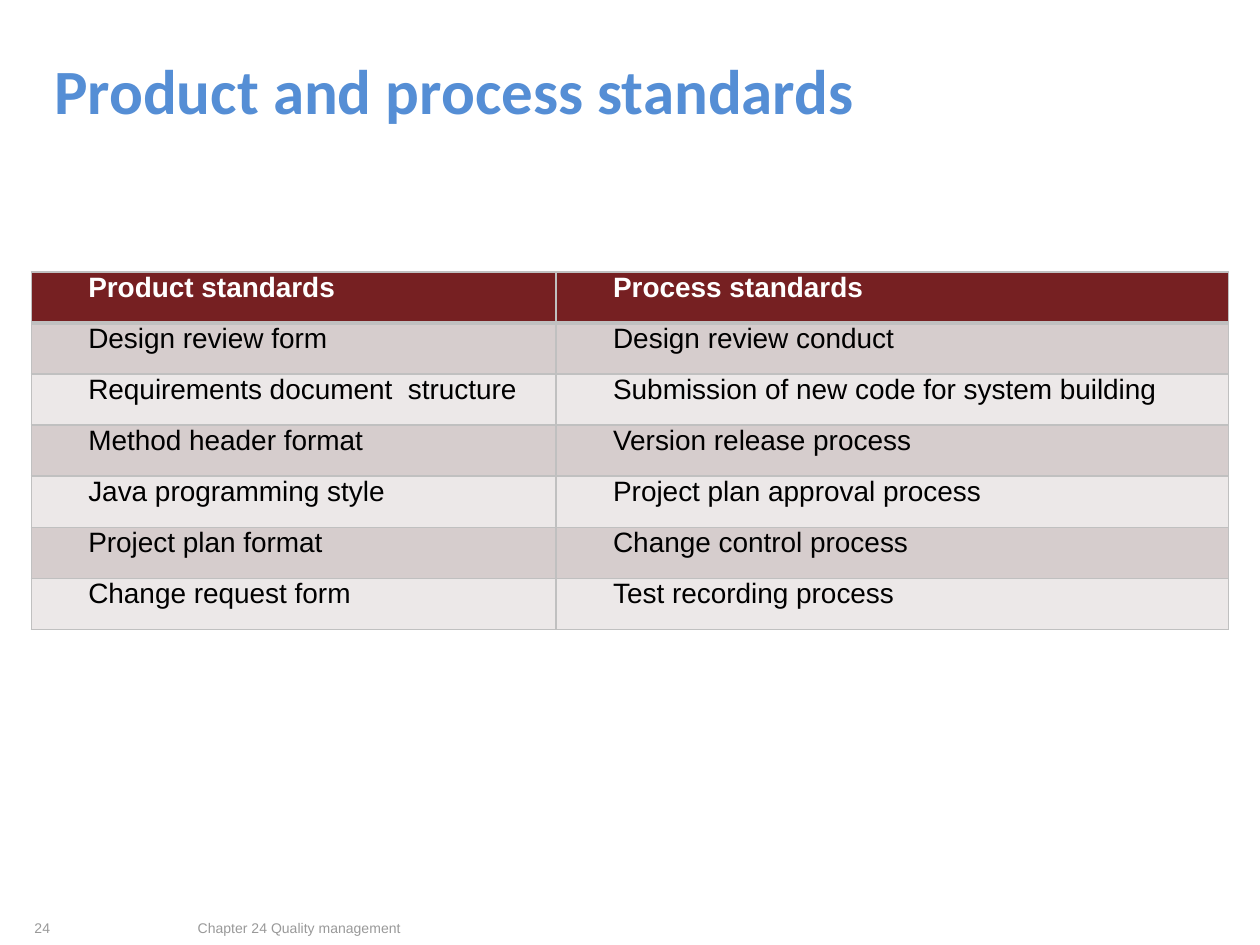
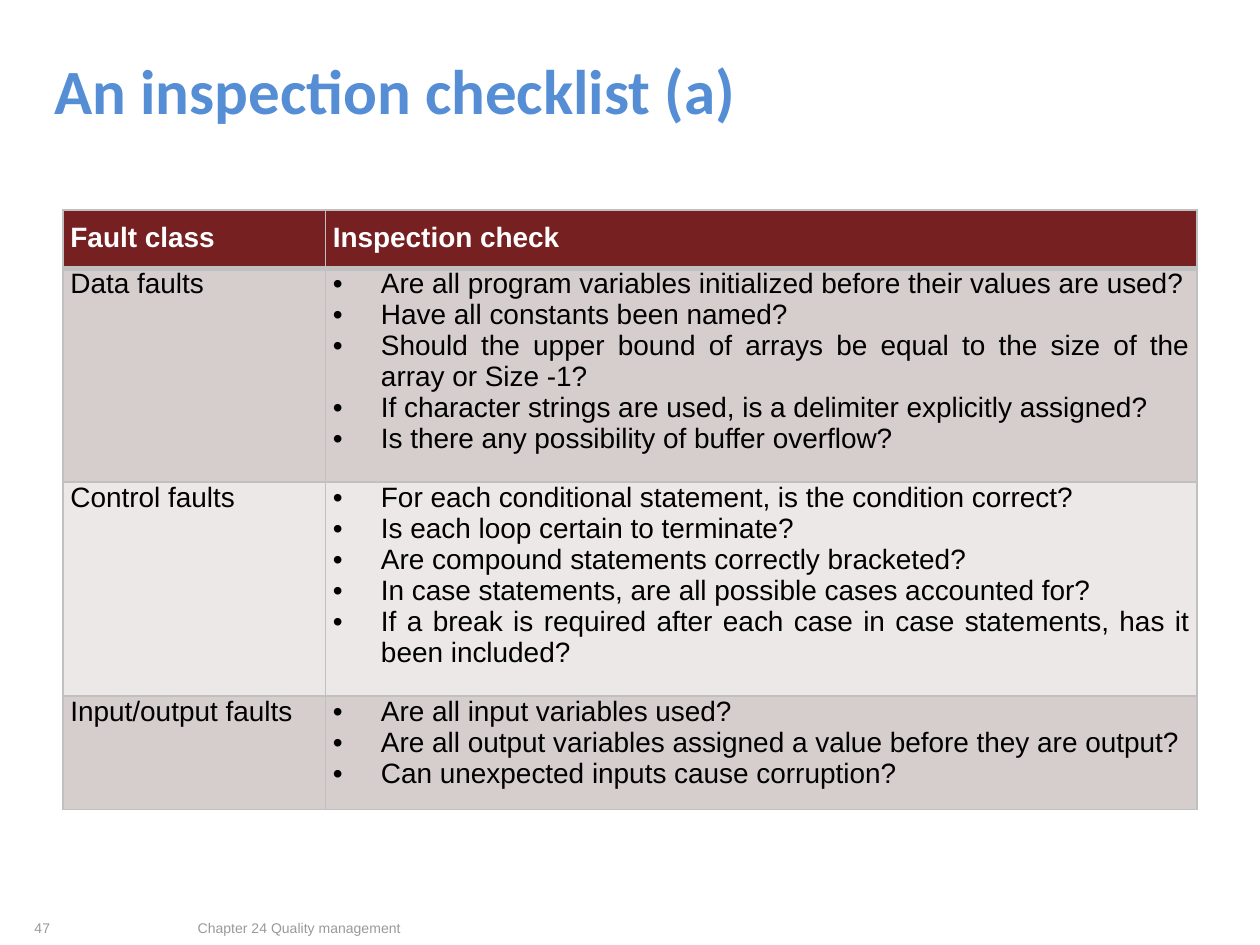
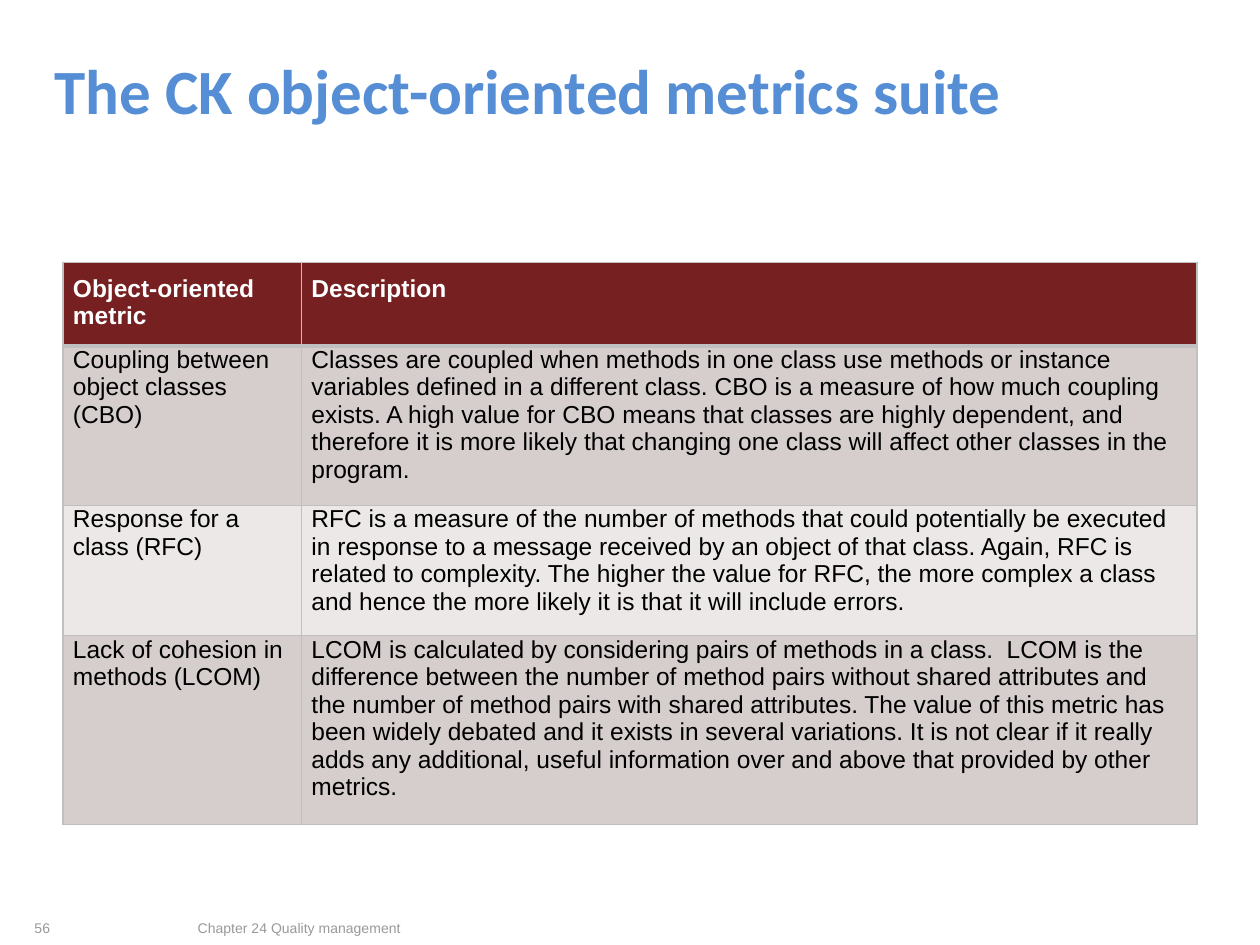
import pptx
import pptx.dml.color
import pptx.enum.shapes
import pptx.enum.text
import pptx.oxml
import pptx.oxml.ns
import pptx.util
from lxml import etree

Cm = pptx.util.Cm
Pt = pptx.util.Pt
ALIGN = pptx.enum.text.PP_ALIGN
ANCHOR = pptx.enum.text.MSO_ANCHOR
RECTANGLE = pptx.enum.shapes.MSO_SHAPE.RECTANGLE
qn = pptx.oxml.ns.qn

COLORS = {
    "page": "C0C0C0",
    "band": "FFFFFF",
    "title": "558ED5",
    "footer": "999999",
    "header": "762022",
    "header_text": "FFFFFF",
    "text": "000000",
    "odd": "D6CDCD",
    "even": "ECE8E8",
    "border": "C0C0C0",
}
FOOTER = "Chapter 24 Quality management"
BANDS = [(0, 0, 25.4, 2.96), (0, 2.75, 25.4, 16.3)]
TITLE_BOX = (0.84, 0.86, 23.7, 1.9)
NUMBER_BOX = (0, 18.42, 1.26, 0.64)
FOOTER_BOX = (1.06, 18.42, 9.95, 0.64)
ROW = 1.04

STANDARDS = [
    ("Product standards", "Process standards"),
    ("Design review form", "Design review conduct"),
    ("Requirements document  structure", "Submission of new code for system building"),
    ("Method header format", "Version release process"),
    ("Java programming style", "Project plan approval process"),
    ("Project plan format", "Change control process"),
    ("Change request form", "Test recording process"),
]
CHECKLIST = [
    ("Fault class", "Inspection check"),
    ("Data faults", [
        "Are all program variables initialized before their values are used?",
        "Have all constants been named?",
        "Should the upper bound of arrays be equal to the size of the array or Size -1?",
        "If character strings are used, is a delimiter explicitly assigned?",
        "Is there any possibility of buffer overflow?",
    ]),
    ("Control faults", [
        "For each conditional statement, is the condition correct?",
        "Is each loop certain to terminate?",
        "Are compound statements correctly bracketed?",
        "In case statements, are all possible cases accounted for?",
        "If a break is required after each case in case statements, has it been included?",
    ]),
    ("Input/output faults", [
        "Are all input variables used?",
        "Are all output variables assigned a value before they are output?",
        "Can unexpected inputs cause corruption?",
    ]),
]
METRICS = [
    ("Object-oriented metric", "Description"),
    ("Coupling between object classes (CBO)",
     "Classes are coupled when methods in one class use methods or instance variables "
     "defined in a different class. CBO is a measure of how much coupling exists. A high "
     "value for CBO means that classes are highly dependent, and therefore it is more "
     "likely that changing one class will affect other classes in the program."),
    ("Response for a class (RFC)",
     "RFC is a measure of the number of methods that could potentially be executed in "
     "response to a message received by an object of that class. Again, RFC is related to "
     "complexity. The higher the value for RFC, the more complex a class and hence the "
     "more likely it is that it will include errors."),
    ("Lack of cohesion in methods (LCOM)",
     "LCOM is calculated by considering pairs of methods in a class.  LCOM is the "
     "difference between the number of method pairs without shared attributes and the "
     "number of method pairs with shared attributes. The value of this metric has been "
     "widely debated and it exists in several variations. It is not clear if it really "
     "adds any additional, useful information over and above that provided by other "
     "metrics."),
]


def rgb(name):
    """Return the named colour."""
    return pptx.dml.color.RGBColor.from_string(COLORS[name])


def paint(fill, name):
    """Make a fill solid in the named colour."""
    fill.solid()
    fill.fore_color.rgb = rgb(name)


def style(p, size, color, font="Arial", bold=False, align=ALIGN.LEFT):
    """Format a paragraph and its runs."""
    p.alignment = align
    for r in p.runs:
        r.font.size, r.font.name, r.font.bold = Pt(size), font, bold
        r.font.color.rgb = rgb(color)


def add_bands(prs, s):
    """Draw the white bands and move them to the back of the master."""
    master = prs.slide_master
    paint(master.background.fill, "page")
    for i, box in enumerate(BANDS):
        sp = s.shapes.add_shape(RECTANGLE, *map(Cm, box))
        sp.shadow.inherit = False
        paint(sp.fill, "band")
        sp.line.fill.background()
        master.shapes._spTree.insert(2 + i, sp._element)


def add_label(s, box, text, align):
    """Add a small grey text at the foot of the slide."""
    tf = s.shapes.add_textbox(*map(Cm, box)).text_frame
    tf.word_wrap = True
    tf.text = text
    style(tf.paragraphs[0], 8, "footer", align=align)


def add_slide(prs, title, number):
    """Add a slide with its title, number and footer."""
    s = prs.slides.add_slide(prs.slide_layouts[5])
    sp = s.shapes.title
    sp.left, sp.top, sp.width, sp.height = map(Cm, TITLE_BOX)
    tf = sp.text_frame
    tf.text = title
    tf.vertical_anchor = ANCHOR.MIDDLE
    style(tf.paragraphs[0], 36, "title", "Calibri", True)
    add_label(s, NUMBER_BOX, str(number), ALIGN.RIGHT)
    add_label(s, FOOTER_BOX, FOOTER, ALIGN.CENTER)
    return s


def set_borders(cell, bottom):
    """Draw the four sides of a cell, the bottom one in its own width."""
    tcPr = cell._tc.get_or_add_tcPr()
    for side, width in (("L", 1), ("R", 1), ("T", 1), ("B", bottom)):
        ln = etree.SubElement(tcPr, qn(f"a:ln{side}"), w=str(Pt(width)))
        fill = etree.SubElement(ln, qn("a:solidFill"))
        etree.SubElement(fill, qn("a:srgbClr"), val=COLORS["border"])


def set_indent(p, margin, first, bullet=False):
    """Set the indents of a paragraph and give it a bullet if asked."""
    pPr = p._p.get_or_add_pPr()
    pPr.set("marL", str(Cm(margin)))
    pPr.set("indent", str(Cm(first)))
    if bullet:
        etree.SubElement(pPr, qn("a:buFont"), typeface="Arial")
        etree.SubElement(pPr, qn("a:buChar"), char="•")


def fill_cell(cell, content, row, size, align, side, pad, first, after):
    """Write and format one cell; a list becomes bullets."""
    header = row == 0
    bullets = isinstance(content, list)
    set_borders(cell, 3 if header else 1)
    paint(cell.fill, "header" if header else "odd" if row % 2 else "even")
    cell.margin_left = cell.margin_right = Cm(side)
    cell.margin_top = Cm(pad if header else 0)
    cell.margin_bottom = Cm(pad)
    tf = cell.text_frame
    tf.text = "\n".join(content) if bullets else content
    for p in tf.paragraphs:
        style(p, size, "header_text" if header else "text", bold=header, align=align)
        if after:
            p.space_after = Pt(after)
            if header:
                p.space_before = Pt(after)
        if bullets:
            set_indent(p, 0.97, -0.97, True)
        elif first:
            set_indent(p, 0, first)


def add_grid(s, box, widths, heights, rows, size, align, side,
             pad=0.25, first=0, after=0):
    """Add a table whose rows grow with their text, under a dark header."""
    left, top, height = map(Cm, box)
    frame = s.shapes.add_table(len(rows), len(widths), left, top,
                               Cm(sum(widths)), height)
    table = frame.table
    for column, width in zip(table.columns, widths):
        column.width = Cm(width)
    for i, row in enumerate(rows):
        table.rows[i].height = Cm(heights[i])
        for j, content in enumerate(row):
            fill_cell(table.cell(i, j), content, i, size, align, side, pad, first, after)
    frame.height = height


def main():
    """Build the three table slides."""
    prs = pptx.Presentation()
    prs.slide_width, prs.slide_height = Cm(25.4), Cm(19.05)

    s = add_slide(prs, "Product and process standards", 24)
    add_bands(prs, s)
    add_grid(s, (0.63, 5.48, 7.21), (10.58, 13.55), [1.03] * 7, STANDARDS,
             16, ALIGN.JUSTIFY, 0.18, pad=0, first=0.97, after=3)

    s = add_slide(prs, "An inspection checklist (a)", 47)
    add_grid(s, (1.27, 4.23, 12.12), (5.29, 17.57), [ROW] * 4, CHECKLIST,
             16, ALIGN.JUSTIFY, 0.15)

    s = add_slide(prs, "The CK object-oriented metrics suite", 56)
    add_grid(s, (1.27, 5.29, 10.74), (4.81, 18.05), [ROW] * 3 + [0.38], METRICS,
             14, ALIGN.LEFT, 0.2)

    prs.save("out.pptx")


if __name__ == "__main__":
    main()
